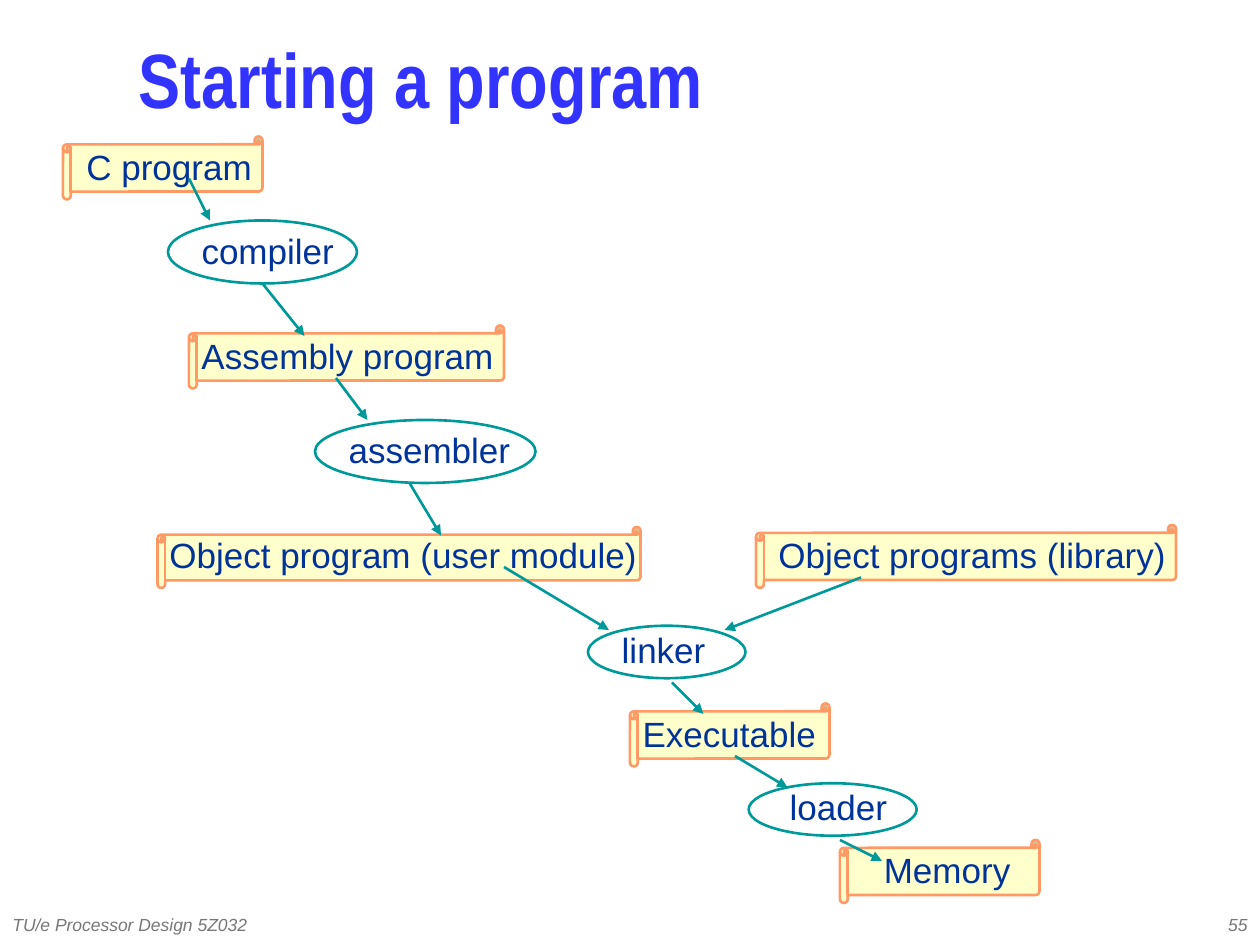
from lxml.etree import SubElement
from pptx import Presentation
from pptx.dml.color import RGBColor
from pptx.enum.shapes import MSO_CONNECTOR, MSO_SHAPE
from pptx.enum.text import MSO_ANCHOR, MSO_AUTO_SIZE, PP_ALIGN
from pptx.oxml.ns import qn
from pptx.util import Inches, Pt

BLUE = RGBColor(0x33, 0x33, 0xFF)
NAVY = RGBColor(0x00, 0x33, 0x99)
TEAL = RGBColor(0x00, 0x99, 0x99)
ORANGE = RGBColor(0xFF, 0x99, 0x66)
CREAM = RGBColor(0xFF, 0xFF, 0xCC)
GRAY = RGBColor(0x77, 0x77, 0x77)

# All places are counted in cells of a grid with twelve cells to the inch:
# left, top, width, height.
CELL = Inches(1) / 12

FILES = [
    (60, 67, 19, 6),
    (18, 31, 30, 6),
    (15, 50.2, 46, 5.8),
    (72, 50, 40, 6),
    (80, 80, 19, 6),
    (6, 13, 19, 6),
]
TOOLS = [
    (16, 21, 18, 6),
    (30, 40, 21, 6),
    (56, 59.6, 15, 5),
    (71.3, 74.6, 16, 5),
]
LABEL_HEIGHT = 4.4
LABELS = [  # text, left, top, width
    ("C program", 6.9, 14, 18.4),
    ("compiler", 17.9, 22, 15.2),
    ("Assembly program", 17.8, 32, 30.6),
    ("assembler", 31.8, 41, 18.2),
    ("Object program (user module)", 14.7, 51, 47.4),
    ("Object programs (library)", 72.7, 51, 39.8),
    ("linker", 57.9, 60, 10.6),
    ("Executable", 59.8, 68, 19.3),
    ("loader", 73.8, 75, 12.1),
    ("Memory", 82.8, 81, 14.8),
]
ARROWS = [  # from column, from row, to column, to row
    (18, 17, 20, 21),
    (25, 27, 29, 32),
    (32, 36, 35, 40),
    (39, 46, 42, 51),
    (48, 54, 58, 60),
    (82, 55, 69, 60),
    (64, 65, 67, 68),
    (70, 72, 75, 75),
    (80, 80, 84, 82),
]


def cells(*counts):
    return [round(count * CELL) for count in counts]


def set_font(paragraph, name, size, color, bold=False, italic=False):
    font = paragraph.font
    font.name, font.size = name, Pt(size)
    font.bold, font.italic = bold, italic
    font.color.rgb = color


def set_title(slide, text):
    title = slide.shapes.title
    title.left, title.top, title.width, title.height = cells(12, 2, 103, 13)
    title.text_frame.text = text
    title.text_frame.vertical_anchor = MSO_ANCHOR.MIDDLE
    paragraph = title.text_frame.paragraphs[0]
    paragraph.alignment = PP_ALIGN.LEFT
    paragraph.line_spacing = 0.7
    set_font(paragraph, "Arial Narrow", 44, BLUE, bold=True)


def add_outline(slide, preset, box, line_color, fill_color=None):
    shape = slide.shapes.add_shape(preset, *cells(*box))
    shape.shadow.inherit = False
    if fill_color is None:
        shape.fill.background()
    else:
        shape.fill.solid()
        shape.fill.fore_color.rgb = fill_color
    shape.line.color.rgb = line_color
    shape.line.width = Pt(1.5)


def add_text(slide, text, box, alignment, wrap=True):
    """Add a one-paragraph text box and return its paragraph."""
    frame = slide.shapes.add_textbox(*cells(*box)).text_frame
    frame.word_wrap = wrap
    frame.auto_size = MSO_AUTO_SIZE.NONE if wrap else MSO_AUTO_SIZE.SHAPE_TO_FIT_TEXT
    frame.vertical_anchor = MSO_ANCHOR.MIDDLE
    frame.text = text
    paragraph = frame.paragraphs[0]
    paragraph.alignment = alignment
    return paragraph


def add_label(slide, text, left, top, width):
    box = (left, top, width, LABEL_HEIGHT)
    paragraph = add_text(slide, text, box, PP_ALIGN.CENTER, wrap=False)
    paragraph.line_spacing = 0.8
    set_font(paragraph, "Arial", 20, NAVY)


def add_arrow(slide, ends):
    arrow = slide.shapes.add_connector(MSO_CONNECTOR.STRAIGHT, *cells(*ends))
    arrow.line.color.rgb = TEAL
    arrow.line.width = Pt(1.5)
    line = arrow._element.spPr.find(qn("a:ln"))
    SubElement(line, qn("a:tailEnd"), type="triangle")
    SubElement(arrow._element.spPr, qn("a:effectLst"))


def add_footer(slide, text, box, alignment):
    paragraph = add_text(slide, text, box, alignment)
    set_font(paragraph, "Arial", 10, GRAY, italic=True)


def main():
    presentation = Presentation()
    presentation.slide_width, presentation.slide_height = Inches(10), Inches(7.5)
    slide = presentation.slides.add_slide(presentation.slide_layouts[5])

    for box in FILES:
        add_outline(slide, MSO_SHAPE.HORIZONTAL_SCROLL, box, ORANGE, CREAM)
    set_title(slide, "Starting a program")
    for label in LABELS:
        add_label(slide, *label)
    for box in TOOLS:
        add_outline(slide, MSO_SHAPE.OVAL, box, TEAL)
    for ends in ARROWS:
        add_arrow(slide, ends)
    add_footer(slide, "TU/e Processor Design 5Z032", (0, 86, 38, 4), PP_ALIGN.LEFT)
    add_footer(slide, "55", (95, 86, 25, 4), PP_ALIGN.RIGHT)

    presentation.save("out.pptx")


if __name__ == "__main__":
    main()
